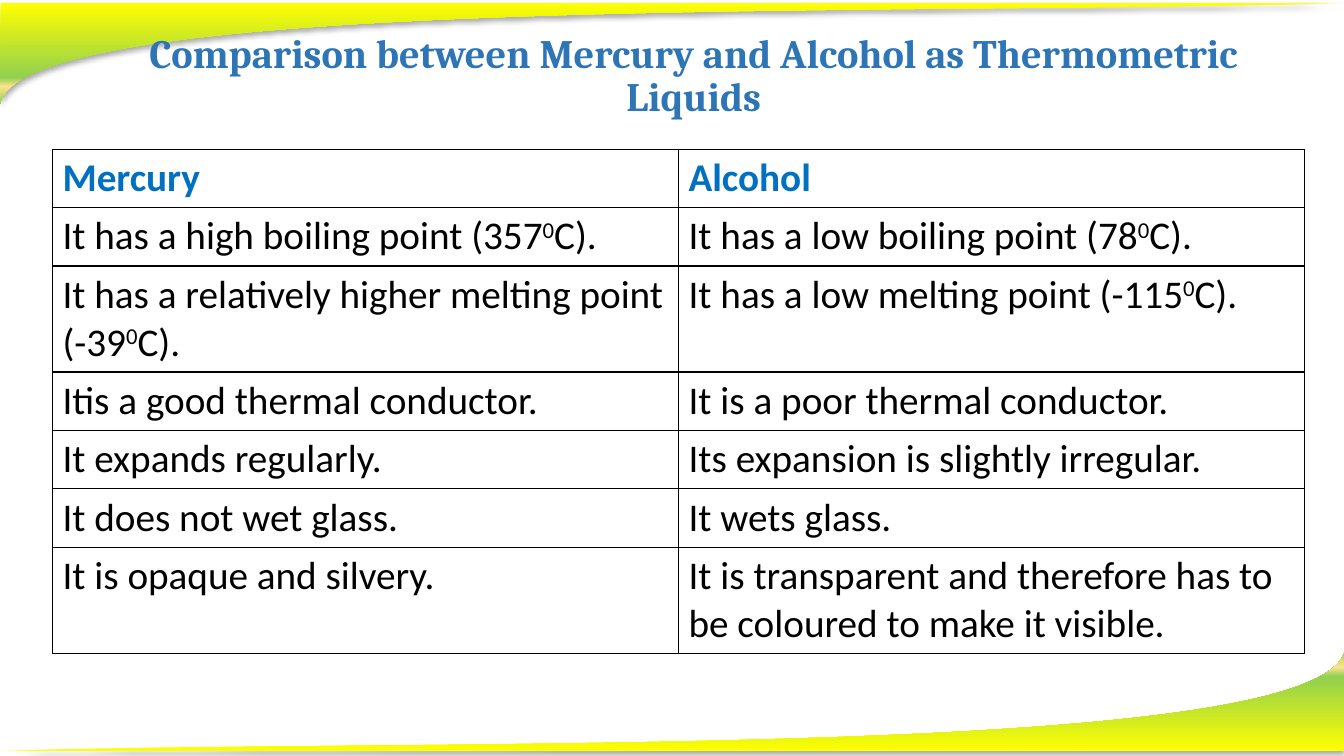
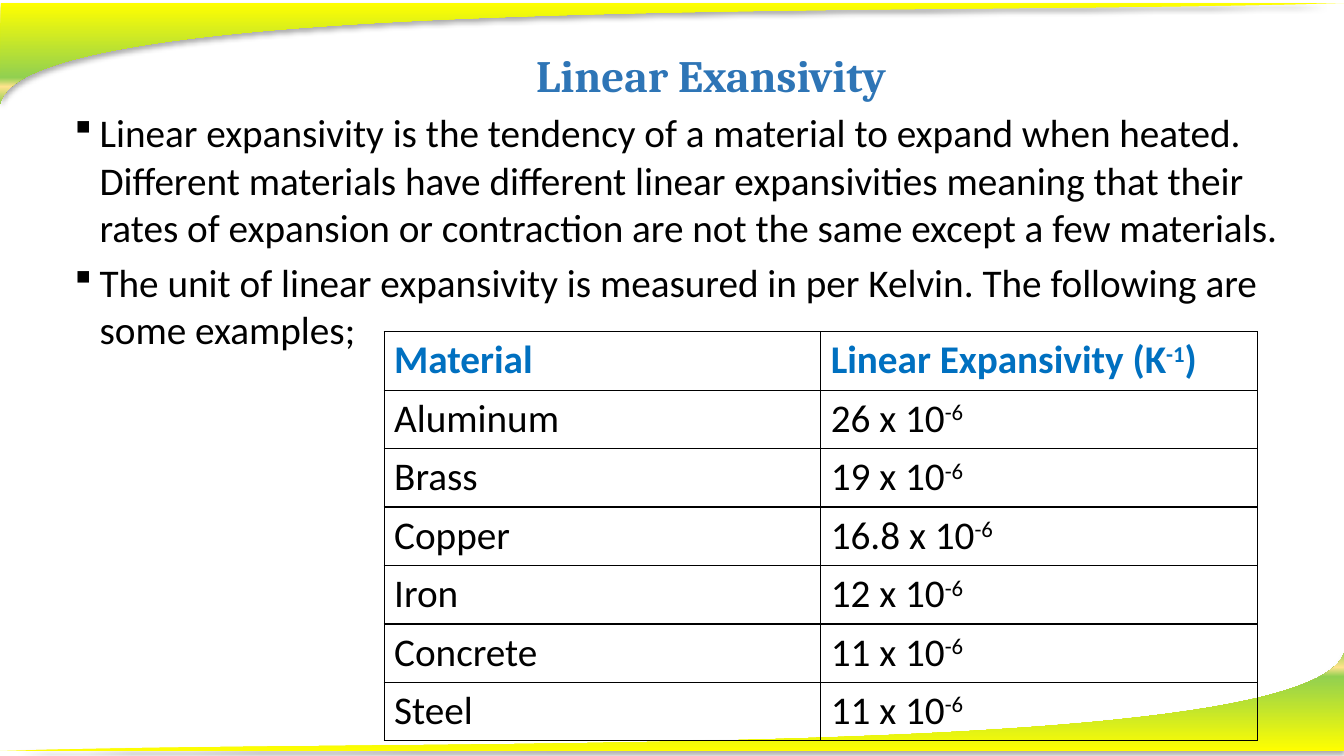
from dataclasses import dataclass

from lxml import etree
from pptx import Presentation
from pptx import util as u
from pptx.dml.color import RGBColor
from pptx.enum import text
from pptx.oxml import parse_xml
from pptx.oxml.ns import nsdecls, qn


@dataclass(frozen=True)
class Theme:
    heading_font: str = "Cambria"
    body_font: str = "Calibri"
    heading: str = "2E75B6"
    table_head: str = "0070C0"
    ink: str = "000000"
    body_size: int = 28
    wave_stops: tuple = ((0, "FFFF00"), (74, "92D050"), (83, "FFE38C"), (100, "92D050"))


theme = Theme()


def write(paragraph, words, font, size, color, bold=False):
    for index, part in enumerate(words.split("^")):
        if part:
            run = paragraph.add_run()
            run.text = part
            if index % 2:
                run._r.get_or_add_rPr().set("baseline", "30000")
    paragraph.font.name = font
    paragraph.font.size = u.Pt(size)
    paragraph.font.bold = bold
    paragraph.font.color.rgb = RGBColor.from_string(color)


def add_grid(slide, left, top, column_width, rows, two_line_rows=()):
    heights = [1.05 if r in two_line_rows else 0.58 for r in range(len(rows))]
    grid = slide.shapes.add_table(
        len(rows), 2, u.Inches(left), u.Inches(top),
        u.Inches(2 * column_width), u.Inches(sum(heights))).table
    for r, row in enumerate(rows):
        grid.rows[r].height = u.Inches(heights[r])
        for c, words in enumerate(row):
            cell = grid.cell(r, c)
            for side in ("lnL", "lnR", "lnT", "lnB"):
                cell._tc.get_or_add_tcPr().append(parse_xml(
                    f'<a:{side} {nsdecls("a")} w="12700"><a:solidFill>'
                    f'<a:srgbClr val="{theme.ink}"/></a:solidFill></a:{side}>'))
            cell.fill.background()
            write(cell.text_frame.paragraphs[0], words, theme.body_font, theme.body_size,
                  theme.ink if r else theme.table_head, bold=r == 0)


prs = Presentation()
prs.slide_width, prs.slide_height = u.Inches(13.33), u.Inches(7.5)
comparison, expansivity = [prs.slides.add_slide(prs.slide_layouts[6]) for _ in range(2)]

wave_start = (0.01, 0.03)
wave_corners = ((13.34, 0.03), (0, 1.03))
wave_controls = ((8.91, 0.16), (0.23, -0.07))

for slide in (comparison, expansivity):
    for wave_top, turn in ((0.03, 0), (6.45, 180)):
        builder = slide.shapes.build_freeform(*map(u.Inches, wave_start))
        builder.add_line_segments([tuple(map(u.Inches, corner)) for corner in wave_corners])
        wave = builder.convert_to_shape()
        sweep = wave._element.spPr.findall(".//" + qn("a:lnTo"))[-1]
        sweep.tag = qn("a:cubicBezTo")
        for index, (x, y) in enumerate(wave_controls):
            sweep.insert(index, etree.Element(
                qn("a:pt"), x=str(u.Inches(x)), y=str(u.Inches(y) - u.Inches(wave_start[1]))))
        etree.SubElement(sweep.getparent(), qn("a:close"))
        wave.top, wave.rotation = u.Inches(wave_top), turn
        wave.line.fill.background()
        wave.fill.gradient()
        wave.fill.gradient_angle = 270
        stops = wave._element.spPr.find(".//" + qn("a:gsLst"))
        stops.clear()
        for position, color in theme.wave_stops:
            stop = etree.SubElement(stops, qn("a:gs"), pos=str(position * 1000))
            etree.SubElement(stop, qn("a:srgbClr"), val=color)
        wave.shadow.inherit = False
        wave._element.spPr.find(qn("a:effectLst")).append(parse_xml(
            f'<a:outerShdw {nsdecls("a")} blurRad="44450" dist="27940" dir="5400000" '
            f'rotWithShape="0"><a:srgbClr val="{theme.ink}"><a:alpha val="32000"/>'
            '</a:srgbClr></a:outerShdw>'))

definition = expansivity.shapes.add_textbox(
    u.Inches(0.64), u.Inches(1.03), u.Inches(12.47), u.Inches(6.07)).text_frame
definition.word_wrap = True
points = (
    "Linear expansivity is the tendency of a material to expand when heated. Different "
    "materials have different linear expansivities meaning that their rates of expansion "
    "or contraction are not the same except a few materials.",
    "The unit of linear expansivity is measured in per Kelvin. The following are some examples;",
)
for index, words in enumerate(points):
    point = definition.add_paragraph() if index else definition.paragraphs[0]
    point.space_after = u.Pt(6)
    properties = point._p.get_or_add_pPr()
    properties.set("marL", str(u.Inches(0.25)))
    properties.set("indent", str(-u.Inches(0.25)))
    etree.SubElement(properties, qn("a:buFont"), typeface="Wingdings", charset="2")
    etree.SubElement(properties, qn("a:buChar"), char="§")
    write(point, words, theme.body_font, theme.body_size, theme.ink)

headings = (
    (comparison, "Comparison between Mercury and Alcohol as Thermometric Liquids\v",
     (1.29, 0.53, 11.18, 0.95), 28.8),
    (expansivity, "Linear Exansivity", (0.97, 0.19, 12.17, 1.17), 32),
)
for slide, words, place, size in headings:
    heading = slide.shapes.add_textbox(*map(u.Inches, place)).text_frame
    heading.word_wrap = True
    heading.vertical_anchor = text.MSO_ANCHOR.MIDDLE
    title = heading.paragraphs[0]
    title.alignment = text.PP_ALIGN.CENTER
    title.line_spacing = 0.9
    write(title, words.rstrip("\v"), theme.heading_font, size, theme.heading, bold=True)
    if words.endswith("\v"):
        title.add_line_break()

add_grid(comparison, 0.52, 1.48, 6.21, (
    ("Mercury", "Alcohol"),
    ("It has a high boiling point (357^0^C).", "It has a low boiling point (78^0^C)."),
    ("It has a relatively higher melting point (-39^0^C).",
     "It has a low melting point (-115^0^C)."),
    ("Itis a good thermal conductor.", "It is a poor thermal conductor."),
    ("It expands regularly.", "Its expansion is slightly irregular."),
    ("It does not wet glass.", "It wets glass."),
    ("It is opaque and silvery.",
     "It is transparent and therefore has to be coloured to make it visible."),
), two_line_rows=(2, 6))

coefficients = (("Aluminum", "26"), ("Brass", "19"), ("Copper", "16.8"),
                ("Iron", "12"), ("Concrete", "11"), ("Steel", "11"))
add_grid(expansivity, 3.81, 3.29, 4.33, (
    ("Material", "Linear Expansivity (K^-1^)"),
    *((material, f"{value} x 10^-6^") for material, value in coefficients),
))

prs.save("out.pptx")
